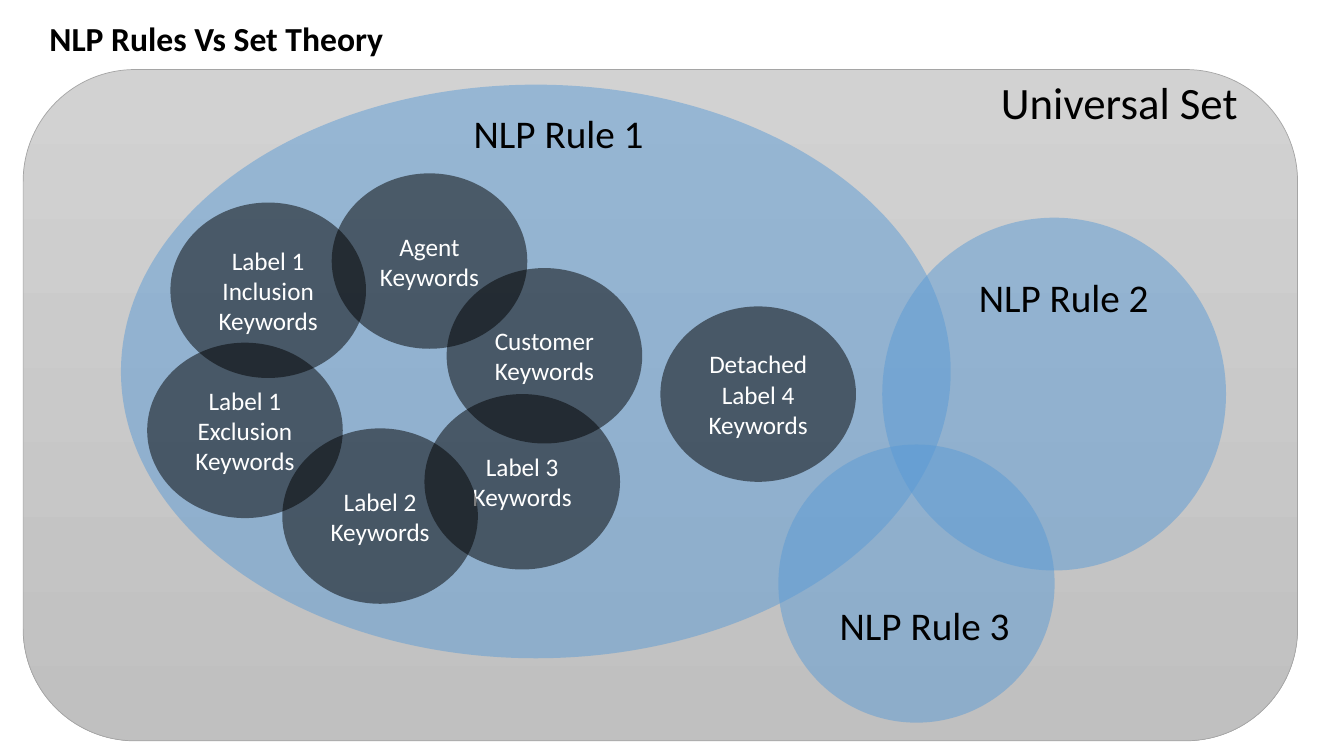
import pptx
import pptx.dml.color
import pptx.enum.shapes
import pptx.enum.text
import pptx.oxml
import pptx.oxml.ns
import pptx.util

PX = 9144  # EMU in one px, 100 px to the inch
FONT = "Calibri"
BLACK = "000000"
WHITE = "FFFFFF"
RULE_BLUE = "5B9BD5"
KEYWORD_SIZE = (194, 174)

SHAPES = pptx.enum.shapes.MSO_SHAPE
ALIGN = pptx.enum.text.PP_ALIGN
ANCHOR = pptx.enum.text.MSO_ANCHOR

RULES = [
    # circle, label, label position
    ((120, 84, 823, 569), "NLP Rule 1", (460, 104)),
    ((875, 216, 341, 350), "NLP Rule 2", (961, 266)),
    ((772, 441, 274, 276), "NLP Rule 3", (823, 592)),
]

KEYWORDS = [
    ((329, 172), "Agent Keywords"),
    ((443, 266), "Customer\nKeywords"),
    ((421, 391), "Label 3 Keywords"),
    ((280, 425), "Label 2\nKeywords"),
    ((146, 340), "Label 1\nExclusion Keywords"),
    ((169, 201), "Label 1\nInclusion\nKeywords"),
    ((655, 304), "Detached Label 4\nKeywords"),
]


def color(value):
    return pptx.dml.color.RGBColor.from_string(value)


def emu(*lengths):
    return [pptx.util.Emu(length * PX) for length in lengths]


def write(frame, text, size, ink, align=ALIGN.LEFT, bold=False):
    frame.text = text
    for para in frame.paragraphs:
        para.alignment = align
        for span in para.runs:
            span.font.name = FONT
            span.font.size = pptx.util.Pt(size)
            span.font.bold = bold
            span.font.color.rgb = color(ink)


def add_title(page, text):
    title = page.shapes.title
    title.left, title.top, title.width, title.height = emu(39, 13, 355, 50)
    write(title.text_frame, text, 24, BLACK, bold=True)
    title.text_frame.word_wrap = False
    title.text_frame.auto_size = pptx.enum.text.MSO_AUTO_SIZE.NONE
    title.text_frame.vertical_anchor = ANCHOR.TOP


def add_label(page, place, text, size):
    box = page.shapes.add_textbox(*emu(*place))
    box.text_frame.word_wrap = False
    write(box.text_frame, text, size, BLACK)


def add_universe(page):
    universe = page.shapes.add_shape(SHAPES.ROUNDED_RECTANGLE, *emu(23, 69, 1264, 666))
    universe.shadow.inherit = False
    universe.fill.gradient()
    universe.fill.gradient_angle = 270
    for stop, shade in zip(universe.fill.gradient_stops, ("D2D2D2", "C0C0C0")):
        stop.color.rgb = color(shade)
    universe.line.color.rgb = color("A5A5A5")
    universe.line.width = pptx.util.Pt(0.5)


def add_circle(page, place, fill):
    """Add a half-transparent ellipse without an outline."""
    circle = page.shapes.add_shape(SHAPES.OVAL, *emu(*place))
    circle.shadow.inherit = False
    circle.fill.solid()
    circle.fill.fore_color.rgb = color(fill)
    tint = circle.fill._xPr.find(".//" + pptx.oxml.ns.qn("a:srgbClr"))
    tint.append(pptx.oxml.parse_xml(
        f'<a:alpha {pptx.oxml.ns.nsdecls("a")} val="50000"/>'))
    circle.line.fill.background()
    return circle


def add_rule(page, place, text, corner):
    add_circle(page, place, RULE_BLUE)
    add_label(page, (*corner, 191, 57), text, 28)


def add_keywords(page, corner, text):
    circle = add_circle(page, (*corner, *KEYWORD_SIZE), BLACK)
    circle.text_frame.vertical_anchor = ANCHOR.MIDDLE
    write(circle.text_frame, text, 18, WHITE, ALIGN.CENTER)


def main():
    deck = pptx.Presentation()
    deck.slide_width, deck.slide_height = emu(1333, 750)
    page = deck.slides.add_slide(deck.slide_layouts[5])

    add_title(page, "NLP Rules Vs Set Theory")
    add_universe(page)
    add_label(page, (983, 69, 257, 64), "Universal Set", 32)

    main_rule, *other_rules = RULES
    add_rule(page, *main_rule)
    for corner, text in KEYWORDS:
        add_keywords(page, corner, text)
    for rule in other_rules:
        add_rule(page, *rule)

    deck.save("out.pptx")


if __name__ == "__main__":
    main()
